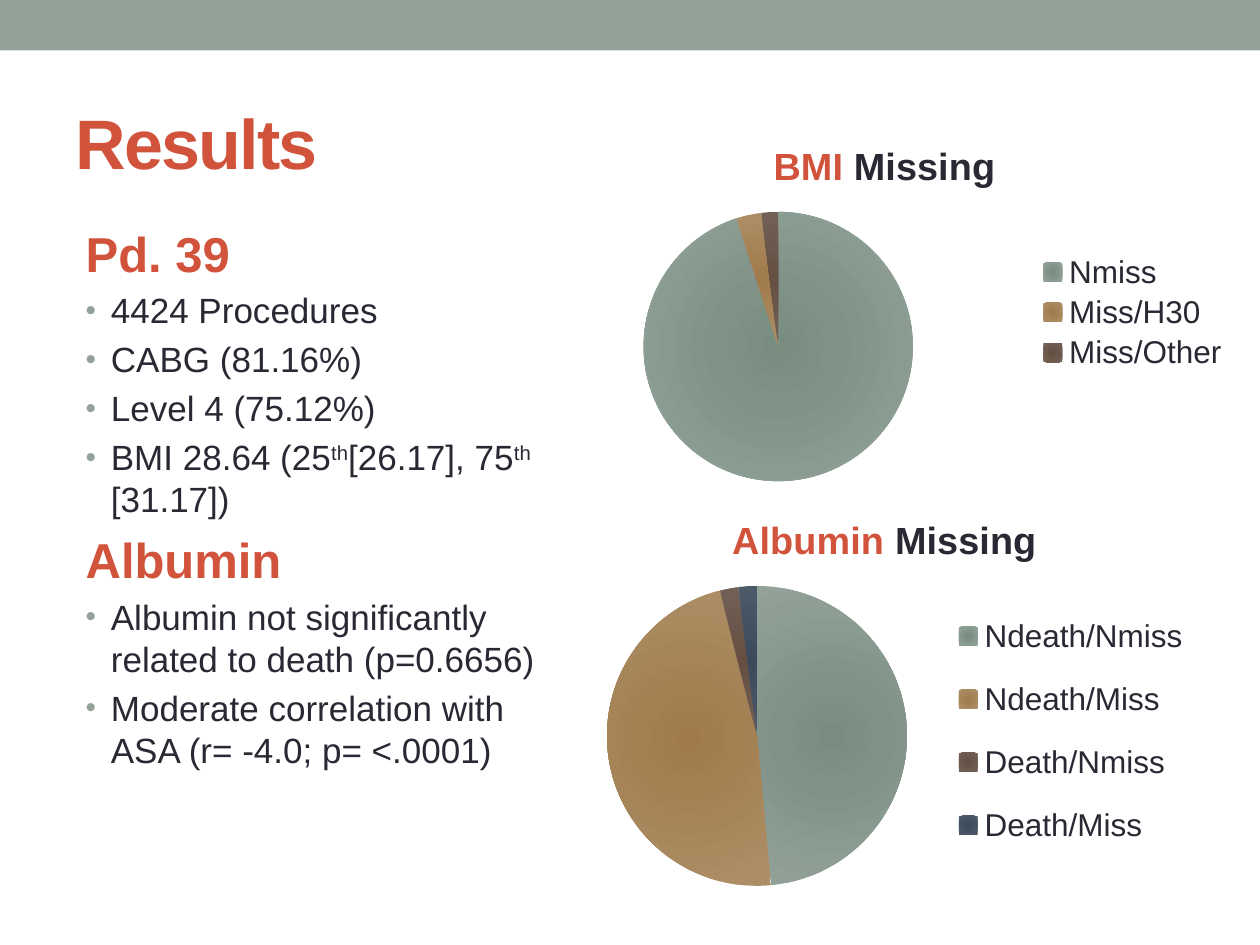
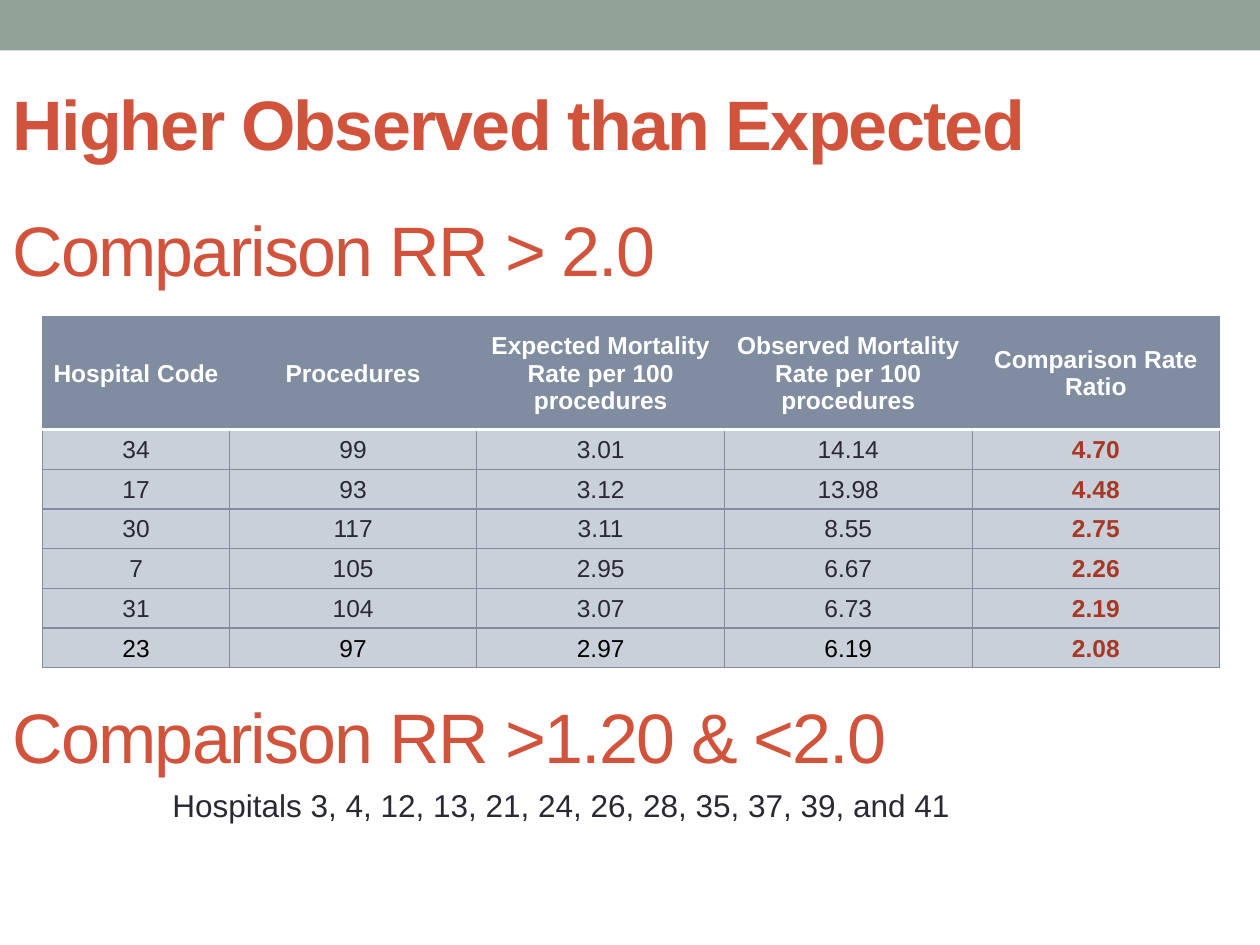
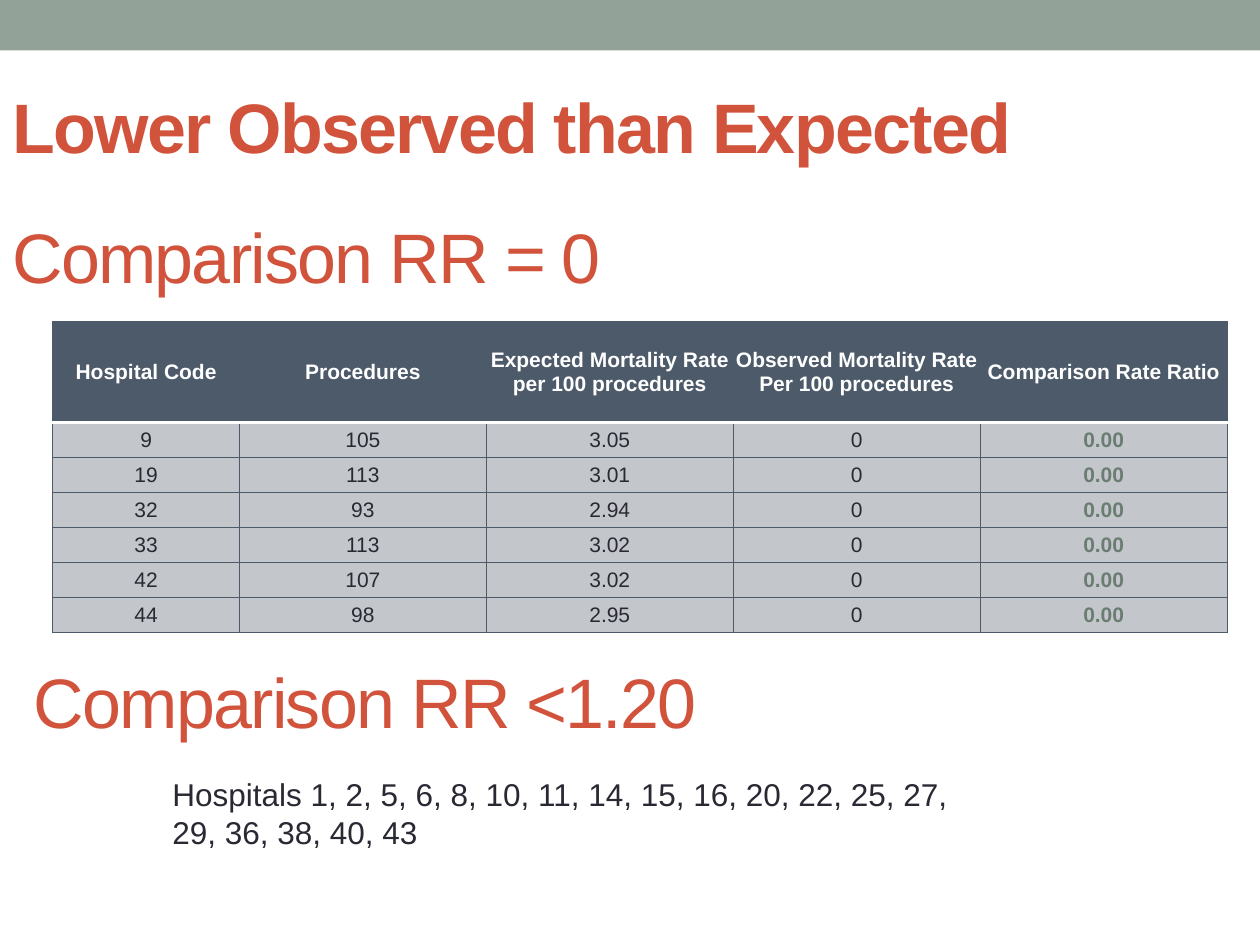
import pptx
import pptx.chart.data
import pptx.dml.color
import pptx.enum.chart
import pptx.enum.shapes
import pptx.enum.text
import pptx.oxml
import pptx.oxml.ns
import pptx.util

Inches = pptx.util.Inches
Pt = pptx.util.Pt
qn = pptx.oxml.ns.qn

FONT = "Arial"
BAND = "93A299"
ACCENT = "D2533C"
INK = "292934"
WHITE = "FFFFFF"
SLICES = [("788C80", "93A299"), ("A07A4A", "AD8F67"), ("664F42", "726056"), ("3C4A5C", "4C5A6A")]


def color(code):
    """Turn a hex string into a colour."""
    return pptx.dml.color.RGBColor.from_string(code)


def style(font, size, code, bold=False):
    """Format a font."""
    font.name = FONT
    font.size = Pt(size)
    font.bold = bold
    font.color.rgb = color(code)


def node(tag, parent=None, **attributes):
    """Make an XML element, optionally inside a parent."""
    item = pptx.oxml.parse_xml(f'<{tag} {pptx.oxml.ns.nsdecls("a", "c")}/>')
    for name, value in attributes.items():
        item.set(name, str(value))
    if parent is not None:
        parent.append(item)
    return item


def place(shape, box):
    """Move a shape to a box given in inches."""
    shape.left, shape.top, shape.width, shape.height = map(Inches, box)


def add_band(deck, page):
    """Put the top band on the slide master."""
    band = page.shapes.add_shape(pptx.enum.shapes.MSO_SHAPE.RECTANGLE, 0, 0, deck.slide_width, Inches(0.4))
    band.shadow.inherit = False
    band.fill.solid()
    band.fill.fore_color.rgb = color(BAND)
    band.line.fill.background()
    deck.slide_master.shapes.element.insert(2, band.element)


def set_heading(shape, box, text, bold):
    """Write a large red heading in a shape."""
    place(shape, box)
    frame = shape.text_frame
    frame.text = text
    frame.word_wrap = True
    frame.auto_size = pptx.enum.text.MSO_AUTO_SIZE.NONE
    frame.vertical_anchor = pptx.enum.text.MSO_ANCHOR.MIDDLE
    para = frame.paragraphs[0]
    para.alignment = pptx.enum.text.PP_ALIGN.LEFT
    style(para.runs[0].font, 40, ACCENT, bold)
    for properties in shape.element.iter(qn("a:rPr")):
        properties.set("spc", "-100")


def add_title(page, box, text):
    """Fill the title placeholder."""
    set_heading(page.shapes.title, box, text, True)


def add_subheading(page, box, text):
    """Add a section heading."""
    set_heading(page.shapes.add_textbox(0, 0, 0, 0), box, text, False)


def add_note(page, box, text):
    """Add a line listing hospitals."""
    note = page.shapes.add_textbox(*map(Inches, box))
    note.text_frame.word_wrap = True
    note.text_frame.text = text
    style(note.text_frame.paragraphs[0].runs[0].font, 18, INK)


def set_bullet(para, bulleted):
    """Give a paragraph a round bullet or none."""
    properties = para._p.get_or_add_pPr()
    indent = Inches(0.2) if bulleted else 0
    properties.set("marL", str(indent))
    properties.set("indent", str(-indent))
    if bulleted:
        node("a:srgbClr", node("a:buClr", properties), val=BAND)
        node("a:buSzPct", properties, val=85000)
        node("a:buFont", properties, typeface=FONT)
        node("a:buChar", properties, char="•")
    else:
        node("a:buNone", properties)


def add_findings(page, box, sections):
    """Fill the body with headings and bullets; ^ toggles superscript."""
    body = page.placeholders[1]
    place(body, box)
    frame = body.text_frame
    frame.auto_size = pptx.enum.text.MSO_AUTO_SIZE.NONE
    lines = [
        (text, bulleted)
        for heading, bullets in sections
        for text, bulleted in [(heading, False)] + [(bullet, True) for bullet in bullets]
    ]
    for index, (text, bulleted) in enumerate(lines):
        para = frame.add_paragraph() if index else frame.paragraphs[0]
        size = 20 if bulleted else 28
        para.space_before = Pt(size * 0.2)
        set_bullet(para, bulleted)
        for part, words in enumerate(text.split("^")):
            span = para.add_run()
            span.text = words
            style(span.font, size, INK if bulleted else ACCENT, not bulleted)
            if part % 2:
                span._r.get_or_add_rPr().set("baseline", "30000")


def make_layout(outer, inner, target=None):
    """Make a manual chart layout for a box inside the chart box."""
    layout = node("c:layout")
    manual = node("c:manualLayout", layout)
    if target:
        node("c:layoutTarget", manual, val=target)
    node("c:xMode", manual, val="edge")
    node("c:yMode", manual, val="edge")
    fractions = [
        (inner[0] - outer[0]) / outer[2],
        (inner[1] - outer[1]) / outer[3],
        inner[2] / outer[2],
        inner[3] / outer[3],
    ]
    for name, value in zip("xywh", fractions):
        node(f"c:{name}", manual, val=round(value, 3))
    return layout


def add_pie(page, box, pie_box, legend_box, subject, values):
    """Add a pie chart with a two-colour title and a legend on the right."""
    data = pptx.chart.data.CategoryChartData()
    data.categories = list(values)
    data.add_series("Series 1", list(values.values()))
    chart = page.shapes.add_chart(pptx.enum.chart.XL_CHART_TYPE.PIE, *map(Inches, box), data).chart
    style(chart.font, 18, INK)

    chart.has_title = True
    para = chart.chart_title.text_frame.paragraphs[0]
    for text, code in [(subject, ACCENT), (" Missing", INK)]:
        span = para.add_run()
        span.text = text
        style(span.font, 21.6, code, True)

    chart.plots[0].vary_by_categories = True
    for index, shades in enumerate(SLICES[:len(values)]):
        layer = chart.plots[0].series[0].points[index].format
        layer.line.fill.background()
        layer.fill.gradient()
        for stop, shade in zip(layer.fill.gradient_stops, shades):
            stop.color.rgb = color(shade)
    for linear in list(chart.element.iter(qn("a:lin"))):
        radial = node("a:path")
        radial.set("path", "circle")
        node("a:fillToRect", radial, l=50000, t=50000, r=50000, b=50000)
        linear.getparent().replace(linear, radial)

    chart.has_legend = True
    chart.legend.position = pptx.enum.chart.XL_LEGEND_POSITION.RIGHT
    chart.legend.include_in_layout = False
    style(chart.legend.font, 18, INK)
    mark = next(chart.element.iter(qn("c:legendPos")))
    mark.addnext(make_layout(box, legend_box))
    plot_area = next(chart.element.iter(qn("c:plotArea")))
    for layout in plot_area.findall(qn("c:layout")):
        plot_area.remove(layout)
    plot_area.insert(0, make_layout(box, pie_box, "inner"))


def set_borders(cell, sides):
    """Draw the four borders of a cell from (colour, width) pairs."""
    properties = cell._tc.get_or_add_tcPr()
    for index, (side, (code, width)) in enumerate(zip("LRTB", sides)):
        line = node(f"a:ln{side}", w=int(Pt(width)))
        node("a:srgbClr", node("a:solidFill", line), val=code)
        properties.insert(index, line)


def add_rates(page, box, header_height, size, headers, rows, theme, last_ink=INK):
    """Add a table of hospital rates; theme holds header, body and ratio colours."""
    head_fill, body_fill, ratio_ink = theme
    left, top, width, height = box
    cells = [headers] + rows
    table = page.shapes.add_table(len(cells), len(headers), *map(Inches, box)).table
    first_width = 1.48
    for index, column in enumerate(table.columns):
        column.width = Inches((width - first_width) / (len(headers) - 1) if index else first_width)
    for index, row in enumerate(table.rows):
        row.height = Inches((height - header_height) / len(rows) if index else header_height)
    thin, thick = (head_fill, 0.75), (WHITE, 2.08)
    for row, texts in enumerate(cells):
        for column, text in enumerate(texts):
            cell = table.cell(row, column)
            cell.text = text
            cell.vertical_anchor = pptx.enum.text.MSO_ANCHOR.MIDDLE
            cell.margin_left = cell.margin_right = cell.margin_top = Inches(0.01)
            cell.margin_bottom = 0
            cell.fill.solid()
            cell.fill.fore_color.rgb = color(body_fill if row else head_fill)
            set_borders(cell, [thin, thin, thick if row == 1 else thin, thin if row else thick])
            is_ratio = column == len(headers) - 1
            ink = last_ink if row == len(rows) else INK
            code = WHITE if row == 0 else ratio_ink if is_ratio else ink
            for para in cell.text_frame.paragraphs:
                para.alignment = pptx.enum.text.PP_ALIGN.CENTER
                style(para.runs[0].font, size, code, row == 0 or is_ratio)


def build_results(deck):
    """Build the slide of findings and missing-data pies."""
    page = deck.slides.add_slide(deck.slide_layouts[1])
    add_band(deck, page)
    add_title(page, (0.5, 0.58, 9, 1.08), "Results")
    add_findings(page, (0.58, 1.72, 4.04, 5.32), [
        ("Pd. 39", [
            "4424 Procedures",
            "CABG (81.16%)",
            "Level 4 (75.12%)",
            "BMI 28.64 (25^th^[26.17], 75^th^ [31.17])",
        ]),
        ("Albumin", [
            "Albumin not significantly related to death (p=0.6656)",
            "Moderate correlation with ASA (r= -4.0; p= <.0001)",
        ]),
    ])
    add_pie(page, (4.54, 3.96, 4.96, 3.2), (4.82, 4.65, 2.38, 2.38), (7.58, 4.69, 1.9, 2.22), "Albumin",
            {"Ndeath/Nmiss": 49, "Ndeath/Miss": 48, "Death/Nmiss": 2, "Death/Miss": 2})
    add_pie(page, (4.2, 1, 5.64, 2.96), (5.11, 1.68, 2.14, 2.14), (8.2, 1.98, 1.58, 1), "BMI",
            {"Nmiss": 95, "Miss/H30": 3, "Miss/Other": 2})


def build_higher(deck):
    """Build the slide of hospitals above expectation."""
    page = deck.slides.add_slide(deck.slide_layouts[5])
    add_title(page, (0, 0.35, 9.44, 1.24), "Higher Observed than Expected")
    headers = ["Hospital Code", "Procedures", "Expected Mortality Rate per 100 procedures",
               "Observed Mortality Rate per 100 procedures", "Comparison Rate Ratio"]
    rows = [
        ["34", "99", "3.01", "14.14", "4.70"],
        ["17", "93", "3.12", "13.98", "4.48"],
        ["30", "117", "3.11", "8.55", "2.75"],
        ["7", "105", "2.95", "6.67", "2.26"],
        ["31", "104", "3.07", "6.73", "2.19"],
        ["23", "97", "2.97", "6.19", "2.08"],
    ]
    add_rates(page, (0.34, 2.51, 9.34, 2.79), 0.9, 14, headers, rows,
              ("808DA0", "CAD0DA", "A53926"), "000000")
    add_subheading(page, (0, 1.43, 5.34, 1.08), "Comparison RR > 2.0")
    add_subheading(page, (0, 5.3, 7.31, 1.08), "Comparison RR >1.20 & <2.0")
    add_note(page, (1.27, 6.19, 6.74, 0.71), "Hospitals 3, 4, 12, 13, 21, 24, 26, 28, 35, 37, 39, and 41")


def build_lower(deck):
    """Build the slide of hospitals below expectation."""
    page = deck.slides.add_slide(deck.slide_layouts[5])
    add_title(page, (0, 0.35, 8.94, 1.3), "Lower Observed than Expected")
    headers = ["Hospital Code", "Procedures", "Expected Mortality Rate per 100 procedures",
               "Observed Mortality Rate\nPer 100 procedures", "Comparison Rate Ratio"]
    hospitals = [("9", "105", "3.05"), ("19", "113", "3.01"), ("32", "93", "2.94"),
                 ("33", "113", "3.02"), ("42", "107", "3.02"), ("44", "98", "2.95")]
    rows = [[*hospital, "0", "0.00"] for hospital in hospitals]
    add_rates(page, (0.42, 2.55, 9.32, 2.47), 0.8, 12, headers, rows, ("4C5A6A", "C3C6CA", "6B7D72"))
    add_subheading(page, (0, 1.49, 5.34, 1.08), "Comparison RR = 0")
    add_subheading(page, (0.17, 5.02, 5.59, 1.08), "Comparison RR <1.20")
    add_note(page, (1.27, 6.1, 6.38, 1.01),
             "Hospitals 1, 2, 5, 6, 8, 10, 11, 14, 15, 16, 20, 22, 25, 27, 29, 36, 38, 40, 43")


def main():
    """Build and save the deck."""
    deck = pptx.Presentation()
    deck.slide_width, deck.slide_height = Inches(10), Inches(7.5)
    build_results(deck)
    build_higher(deck)
    build_lower(deck)
    deck.save("out.pptx")


main()
